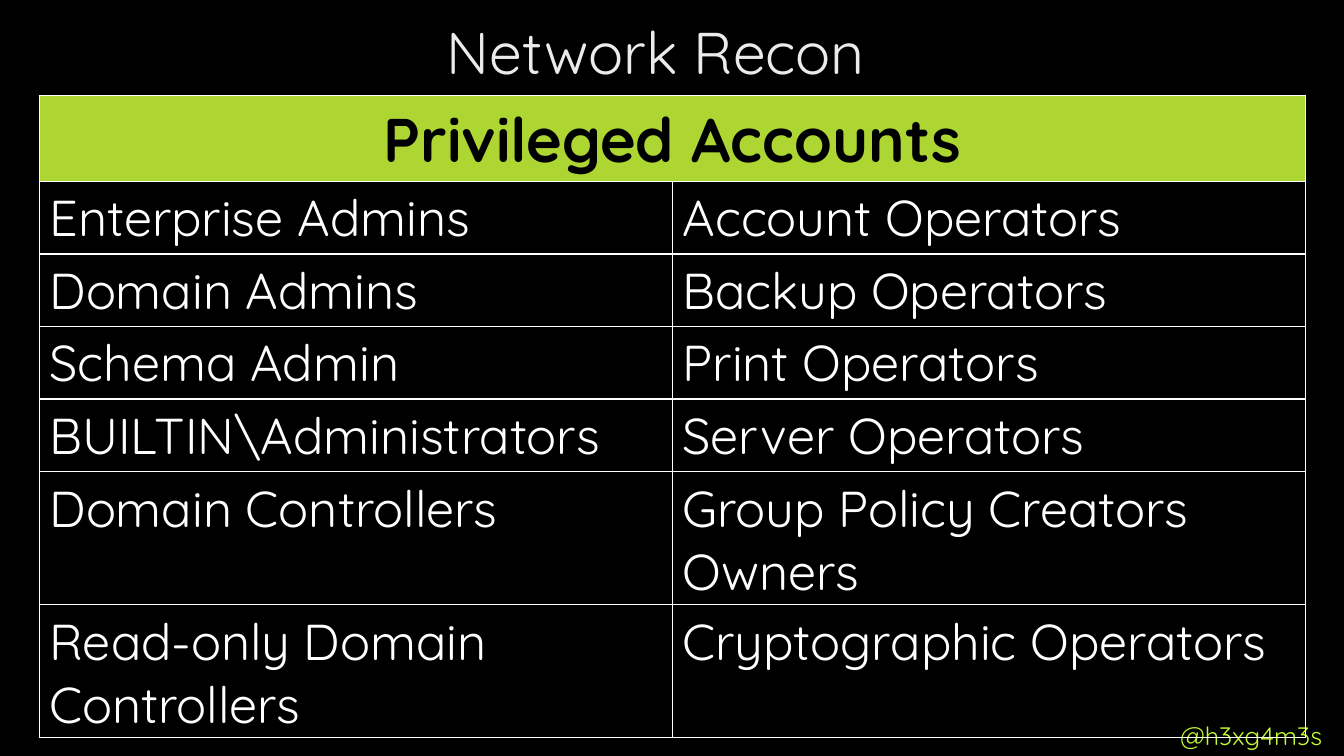
from lxml import etree
from pptx import Presentation
from pptx import util as u
from pptx.dml.color import RGBColor
from pptx.enum import text
from pptx.oxml import ns

BLACK = RGBColor(0x00, 0x00, 0x00)
WHITE = RGBColor(0xFF, 0xFF, 0xFF)
PALE = RGBColor(0xEB, 0xEB, 0xEB)
GREEN = RGBColor(0xAD, 0xD6, 0x33)
LIME = RGBColor(0xC2, 0xFC, 0x32)

FONT = "Quicksand"
HEADING = "Privileged Accounts"
ACCOUNTS = [
    ("Enterprise Admins", "Account Operators"),
    ("Domain Admins", "Backup Operators"),
    ("Schema Admin", "Print Operators"),
    (r"BUILTIN\Administrators", "Server Operators"),
    ("Domain Controllers", "Group Policy Creators Owners"),
    ("Read-only Domain Controllers", "Cryptographic Operators"),
]
ROW_HEIGHTS = [0.85] + [0.72] * 4 + [1.32] * 2
COLUMN_WIDTH = 6.28


def write(tf, content, size, color, bold=False, align=text.PP_ALIGN.LEFT):
    """Fill a text frame with one formatted paragraph."""
    tf.word_wrap = True
    p = tf.paragraphs[0]
    p.alignment = align
    r = p.add_run()
    r.text = content
    for name, value in {"name": FONT, "size": u.Pt(size), "bold": bold}.items():
        setattr(r.font, name, value)
    r.font.color.rgb = color


def add_title(s):
    """Place and format the title placeholder."""
    sp = s.shapes.title
    box = {"left": 1.36, "top": 0.12, "width": 10.29, "height": 0.78}
    for name, value in box.items():
        setattr(sp, name, u.Inches(value))
    tf = sp.text_frame
    tf.auto_size = text.MSO_AUTO_SIZE.NONE
    tf.vertical_anchor = text.MSO_ANCHOR.MIDDLE
    tf.margin_top = tf.margin_bottom = 0
    write(tf, "Network Recon", 42, PALE, align=text.PP_ALIGN.CENTER)


def add_handle(s):
    """Add the author handle at the lower right."""
    sp = s.shapes.add_textbox(*map(u.Inches, (11.61, 7.1, 1.63, 0.4)))
    write(sp.text_frame, "@h3xg4m3s", 18, LIME)


def style_cell(cell, fill=None):
    """Give a cell thin white borders and a solid fill, or none."""
    tc_pr = cell._tc.get_or_add_tcPr()
    for side in ("lnL", "lnR", "lnT", "lnB"):
        ln = etree.SubElement(tc_pr, ns.qn(f"a:{side}"), w=str(u.Pt(1)))
        solid = etree.SubElement(ln, ns.qn("a:solidFill"))
        etree.SubElement(solid, ns.qn("a:srgbClr"), val=str(WHITE))
    if fill is None:
        cell.fill.background()
    else:
        cell.fill.solid()
        cell.fill.fore_color.rgb = fill


def add_accounts(s):
    """Add the table of privileged accounts under a merged heading."""
    place = (0.39, 0.95, 2 * COLUMN_WIDTH, sum(ROW_HEIGHTS))
    table = s.shapes.add_table(len(ROW_HEIGHTS), 2, *map(u.Inches, place)).table
    table.horz_banding = False
    for column in table.columns:
        column.width = u.Inches(COLUMN_WIDTH)
    for row, height in zip(table.rows, ROW_HEIGHTS):
        row.height = u.Inches(height)
    for i, row in enumerate(table.rows):
        for cell in row.cells:
            style_cell(cell, None if i else GREEN)
    heading = table.cell(0, 0)
    heading.merge(table.cell(0, 1))
    write(heading.text_frame, HEADING, 44, BLACK, True, text.PP_ALIGN.CENTER)
    for i, names in enumerate(ACCOUNTS, 1):
        for j, name in enumerate(names):
            write(table.cell(i, j).text_frame, name, 36, WHITE)


def main():
    """Build the slide and save it."""
    prs = Presentation()
    prs.slide_width, prs.slide_height = u.Inches(13.33), u.Inches(7.5)
    s = prs.slides.add_slide(prs.slide_layouts[5])
    s.background.fill.solid()
    s.background.fill.fore_color.rgb = BLACK
    add_handle(s)
    add_title(s)
    add_accounts(s)
    prs.save("out.pptx")


if __name__ == "__main__":
    main()
